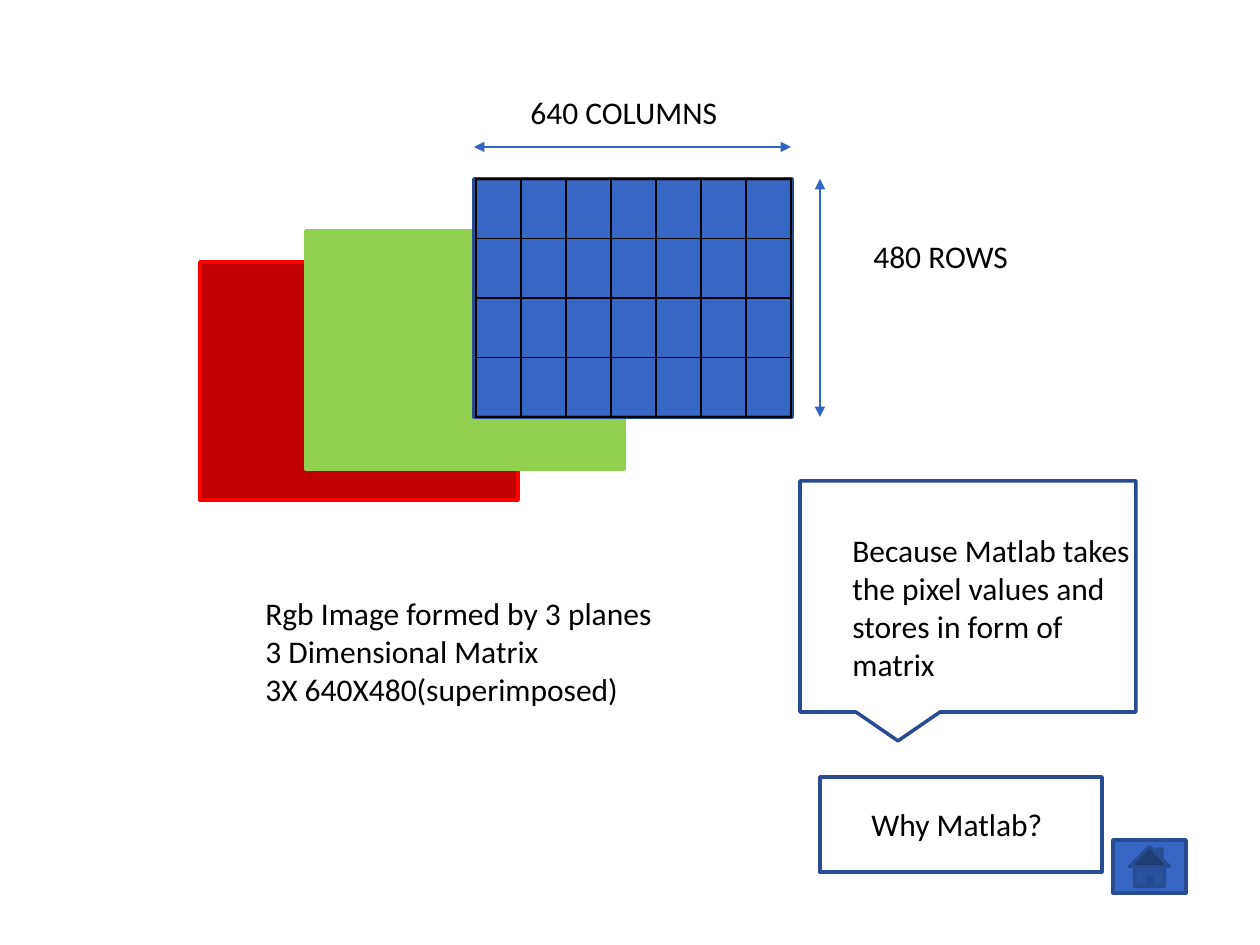
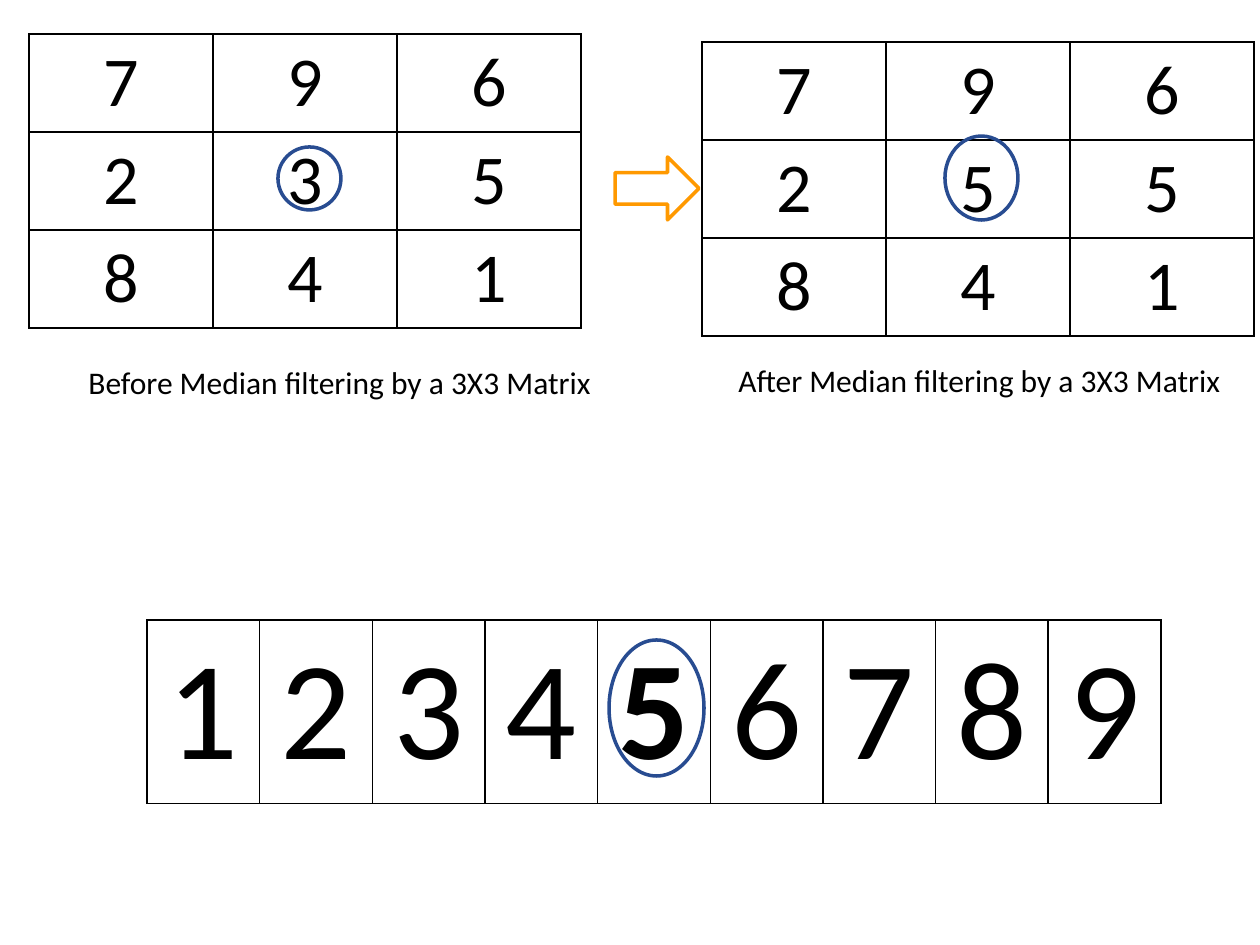
from lxml import etree
from pptx import Presentation
from pptx.dml.color import RGBColor
from pptx.enum.shapes import MSO_CONNECTOR, MSO_SHAPE
from pptx.enum.text import MSO_AUTO_SIZE, PP_ALIGN
from pptx.oxml.ns import qn
from pptx.util import Emu, Pt

RECT = MSO_SHAPE.RECTANGLE
CALLOUT = MSO_SHAPE.RECTANGULAR_CALLOUT
HOME = MSO_SHAPE.ACTION_BUTTON_HOME
OVAL = MSO_SHAPE.OVAL
ARROW = MSO_SHAPE.RIGHT_ARROW
STRAIGHT = MSO_CONNECTOR.STRAIGHT
FIT_SHAPE = MSO_AUTO_SIZE.SHAPE_TO_FIT_TEXT
CENTER = PP_ALIGN.CENTER

FONT = "Calibri"
BLACK, WHITE = "000000", "FFFFFF"
BLUE, NAVY, ARROW_BLUE = "3667C4", "284C91", "3164C3"
RED, DARK_RED, GREEN, ORANGE = "FF0000", "C00000", "92D050", "FF9900"
PX_PER_INCH = 126
CAPTION_SIZE = 18

PLANE_SIZE = (318, 238)
PLANES = [
    ((200, 262), DARK_RED, RED),
    ((306, 231), GREEN, GREEN),
    ((474, 179), BLUE, NAVY),
]
PIXEL_GRID = [[""] * 7 for _ in range(4)]
PIXEL_GRID_BOX = (476, 179, 315, 238)
DIMENSION_ARROWS = [(474, 147, 791, 147), (820, 179, 820, 417)]
CALLOUTS = [
    (CALLOUT, (800, 481, 336, 231), None),
    (RECT, (820, 777, 282, 95), None),
    (HOME, (1113, 840, 73, 53), BLUE),
]
MATRIX_CAPTIONS = [
    ((253, 588, 417, 127), ["Rgb Image formed by 3 planes",
                            "3 Dimensional Matrix",
                            "3X 640X480(superimposed)"]),
    ((861, 231, 161, 50), ["480 ROWS"]),
    ((518, 87, 222, 50), ["640 COLUMNS"]),
    ((840, 525, 306, 165), ["Because Matlab takes",
                            "the pixel values and",
                            "stores in form of",
                            "matrix"]),
    ((859, 799, 198, 50), ["Why Matlab?"]),
]

FILTER_TABLES = [
    ((29, 34, 552, 294), ["796", "235", "841"], 40),
    ((702, 42, 552, 294), ["796", "255", "841"], 40),
    ((147, 620, 1014, 183), ["123456789"], 80),
]
MEDIAN_CELL = (0, 4)
MEDIAN_MARKS = [(278, 147, 63, 63), (945, 136, 73, 84), (609, 640, 95, 136)]
FILTER_ARROW = (615, 157, 84, 63)
FILTER_CAPTIONS = [
    ((76, 357, 534, 50), ["Before Median filtering by a 3X3 Matrix"]),
    ((726, 355, 514, 50), ["After Median filtering by a 3X3 Matrix"]),
]


def px(value):
    return Emu(round(value * 914400 / PX_PER_INCH))


def place(*lengths):
    return [px(length) for length in lengths]


def rgb(code):
    return RGBColor.from_string(code)


def style_font(font, size):
    font.name = FONT
    font.size = Pt(size)
    font.color.rgb = rgb(BLACK)


def paint(fill, color):
    if color:
        fill.solid()
        fill.fore_color.rgb = rgb(color)
    else:
        fill.background()


def add_outline(slide, kind, box, color=None, line=NAVY):
    shape = slide.shapes.add_shape(kind, *place(*box))
    shape.shadow.inherit = False
    paint(shape.fill, color)
    shape.line.color.rgb = rgb(line)
    shape.line.width = Pt(2)
    return shape


def add_caption(slide, box, lines):
    frame = slide.shapes.add_textbox(*place(*box)).text_frame
    frame.word_wrap = False
    frame.auto_size = FIT_SHAPE
    frame.text = "\n".join(lines)
    for paragraph in frame.paragraphs:
        for run in paragraph.runs:
            style_font(run.font, CAPTION_SIZE)


def add_dimension_arrow(slide, ends):
    connector = slide.shapes.add_connector(STRAIGHT, *place(*ends))
    connector.line.color.rgb = rgb(ARROW_BLUE)
    connector.line.width = Pt(0.75)
    outline = connector.line._get_or_add_ln()
    for end in ("a:headEnd", "a:tailEnd"):
        etree.SubElement(outline, qn(end), type="triangle")
    etree.SubElement(connector._element.spPr, qn("a:effectLst"))


def add_borders(cell):
    properties = cell._tc.get_or_add_tcPr()
    for side in ("a:lnL", "a:lnR", "a:lnT", "a:lnB"):
        border = etree.SubElement(properties, qn(side), w=str(Pt(1)))
        fill = etree.SubElement(border, qn("a:solidFill"))
        etree.SubElement(fill, qn("a:srgbClr"), val=BLACK)


def add_matrix(slide, box, rows, size=CAPTION_SIZE):
    width, height = box[2:]
    table = slide.shapes.add_table(len(rows), len(rows[0]), *place(*box)).table
    table.first_row = False
    table.horz_banding = False
    for column in table.columns:
        column.width = px(width / len(rows[0]))
    for row, values in zip(table.rows, rows):
        row.height = px(height / len(rows))
        for cell, value in zip(row.cells, values):
            cell.text = value
            paragraph = cell.text_frame.paragraphs[0]
            paragraph.alignment = CENTER
            style_font(paragraph.font, size)
            for run in paragraph.runs:
                style_font(run.font, size)
            add_borders(cell)
            paint(cell.fill, None)
    return table


def build_planes(slide):
    for corner, color, line in PLANES:
        add_outline(slide, RECT, corner + PLANE_SIZE, color, line)
    add_matrix(slide, PIXEL_GRID_BOX, PIXEL_GRID)
    for ends in DIMENSION_ARROWS:
        add_dimension_arrow(slide, ends)
    for kind, box, color in CALLOUTS:
        add_outline(slide, kind, box, color)
    for box, lines in MATRIX_CAPTIONS:
        add_caption(slide, box, lines)


def build_median_filter(slide):
    matrices = [add_matrix(slide, *matrix) for matrix in FILTER_TABLES]
    median = matrices[-1].cell(*MEDIAN_CELL)
    median.text_frame.paragraphs[0].runs[0].font.bold = True
    for box, lines in FILTER_CAPTIONS:
        add_caption(slide, box, lines)
    for box in MEDIAN_MARKS:
        add_outline(slide, OVAL, box)
    add_outline(slide, ARROW, FILTER_ARROW, WHITE, ORANGE)


def main():
    deck = Presentation()
    deck.slide_width, deck.slide_height = place(1260, 945)
    blank = deck.slide_layouts[6]
    for build in (build_planes, build_median_filter):
        build(deck.slides.add_slide(blank))
    deck.save("out.pptx")


if __name__ == "__main__":
    main()
